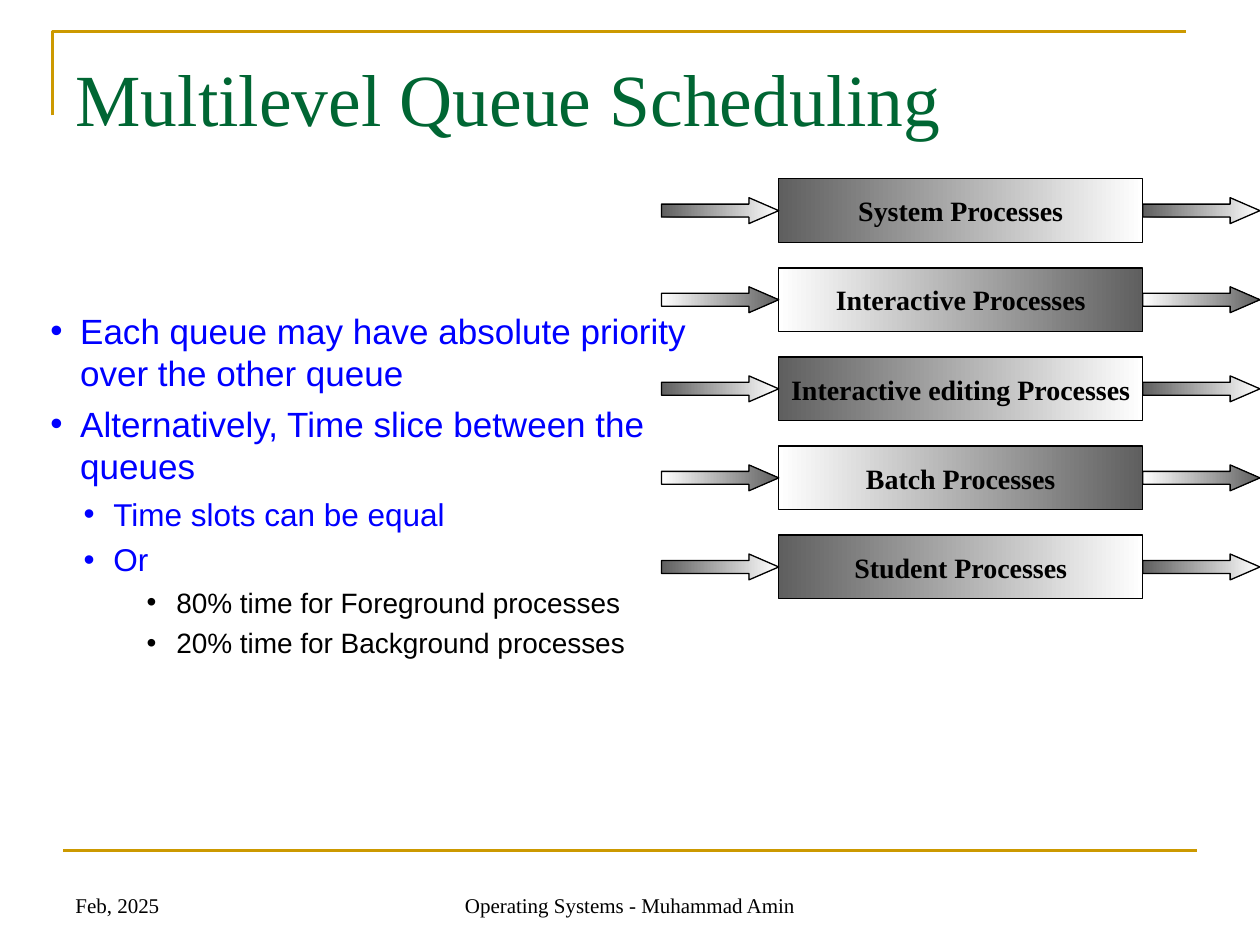
from pptx import Presentation
from pptx.dml.color import RGBColor
from pptx.enum.shapes import MSO_CONNECTOR, MSO_SHAPE
from pptx.enum.text import MSO_ANCHOR, MSO_AUTO_SIZE, PP_ALIGN
from pptx.oxml.ns import qn
from pptx.util import Pt
from lxml import etree

RECT, ARROW = MSO_SHAPE.RECTANGLE, MSO_SHAPE.RIGHT_ARROW
STRAIGHT = MSO_CONNECTOR.STRAIGHT
TOP, MIDDLE, BOTTOM = MSO_ANCHOR.TOP, MSO_ANCHOR.MIDDLE, MSO_ANCHOR.BOTTOM
LEFT, CENTER = PP_ALIGN.LEFT, PP_ALIGN.CENTER
NO_FIT = MSO_AUTO_SIZE.NONE

THEME = {
    "serif": "Times New Roman", "sans": "Arial",
    "gold": "CC9900", "green": "006633", "blue": "0000FF",
    "black": "000000", "dark": "5F5F5F", "light": "FFFFFF",
    "title": 42, "body": (20, 18, 16), "queue": 16, "footer": 12,
}


def rgb(name):
    return RGBColor.from_string(THEME[name])


def style(p, font, size, color, align=LEFT, bold=False):
    p.alignment = align
    for r in p.runs:
        r.font.name, r.font.size, r.font.bold = THEME[font], Pt(size), bold
        r.font.color.rgb = rgb(color)


prs = Presentation()
prs.slide_width, prs.slide_height = Pt(720), Pt(540)
s = prs.slides.add_slide(prs.slide_layouts[1])

# Gold corner and bottom rule
fb = s.shapes.build_freeform(Pt(30), Pt(66), scale=1.0)
fb.add_line_segments([(Pt(30), Pt(18)), (Pt(678), Pt(18))], close=False)
corner = fb.convert_to_shape()
corner.shadow.inherit = False
corner.fill.background()
rule = s.shapes.add_connector(STRAIGHT, Pt(36), Pt(486), Pt(684), Pt(486))
etree.SubElement(rule._element.spPr, qn("a:effectLst"))
for line in (corner.line, rule.line):
    line.color.rgb, line.width = rgb("gold"), Pt(1.5)

# Date and footer
for x, w, text, align in [(36, 168, "Feb, 2025", LEFT),
                          (246, 228, "Operating Systems - Muhammad Amin", CENTER)]:
    tf = s.shapes.add_textbox(Pt(x), Pt(492), Pt(w), Pt(36)).text_frame
    tf.word_wrap, tf.vertical_anchor = True, BOTTOM
    tf.text = text
    style(tf.paragraphs[0], "serif", THEME["footer"], "black", align)

# Title
title = s.shapes.title
title.left, title.top, title.width, title.height = Pt(36), Pt(21.6), Pt(648), Pt(90)
tf = title.text_frame
tf.text = "Multilevel Queue Scheduling"
tf.vertical_anchor, tf.auto_size, tf.margin_top = TOP, NO_FIT, Pt(8.5)
style(tf.paragraphs[0], "serif", THEME["title"], "green")

# Queues: a box with an arrow in and an arrow out, gradients alternating
queues = ["System Processes", "Interactive Processes",
          "Interactive editing Processes", "Batch Processes", "Student Processes"]
for i, name in enumerate(queues):
    y = 102.2 + i * 50.9
    shades = ("dark", "light") if i % 2 == 0 else ("light", "dark")
    parts = [(RECT, 445, y, 208, 36.4),
             (ARROW, 378, y + 10.8, 67, 14.8),
             (ARROW, 653, y + 10.8, 67, 14.8)]
    for kind, x, top, w, h in parts:
        sp = s.shapes.add_shape(kind, Pt(x), Pt(top), Pt(w), Pt(h))
        sp.shadow.inherit = False
        sp.fill.gradient()
        sp.fill.gradient_angle = 0
        for stop, shade, pos in zip(sp.fill.gradient_stops, shades, (0, 1)):
            stop.color.rgb, stop.position = rgb(shade), pos
        sp.line.color.rgb, sp.line.width = rgb("black"), Pt(0.75)
        if kind == ARROW:
            sp.adjustments[1] = 1.15
        else:
            tf = sp.text_frame
            tf.text = name
            tf.word_wrap, tf.vertical_anchor = False, MIDDLE
            style(tf.paragraphs[0], "serif", THEME["queue"], "black", CENTER, True)

# Bulleted list
points = [
    (0, "Each queue may have absolute priority over the other queue"),
    (0, "Alternatively, Time slice between the queues"),
    (1, "Time slots can be equal"),
    (1, "Or"),
    (2, "80% time for Foreground processes"),
    (2, "20% time for Background processes"),
]
indents, colors = (17, 36, 72), ("blue", "blue", "black")
body = s.placeholders[1]
body.left, body.top, body.width, body.height = Pt(21.6), Pt(173.5), Pt(378), Pt(207.4)
tf = body.text_frame
tf.auto_size, tf.vertical_anchor = NO_FIT, TOP
for i, (level, text) in enumerate(points):
    p = tf.paragraphs[0] if i == 0 else tf.add_paragraph()
    p.text, p.level = text, level
    size = THEME["body"][level]
    p.space_before = Pt(size / 4)
    style(p, "sans", size, colors[level])
    pPr = p._p.get_or_add_pPr()
    pPr.set("marL", str(Pt(indents[level])))
    pPr.set("indent", str(-Pt(17)))
    bu_color = etree.SubElement(pPr, qn("a:buClr"))
    etree.SubElement(bu_color, qn("a:srgbClr"), val=THEME[colors[level]])
    etree.SubElement(pPr, qn("a:buFont"), typeface=THEME["sans"])
    etree.SubElement(pPr, qn("a:buChar"), char="•")

prs.save("out.pptx")
